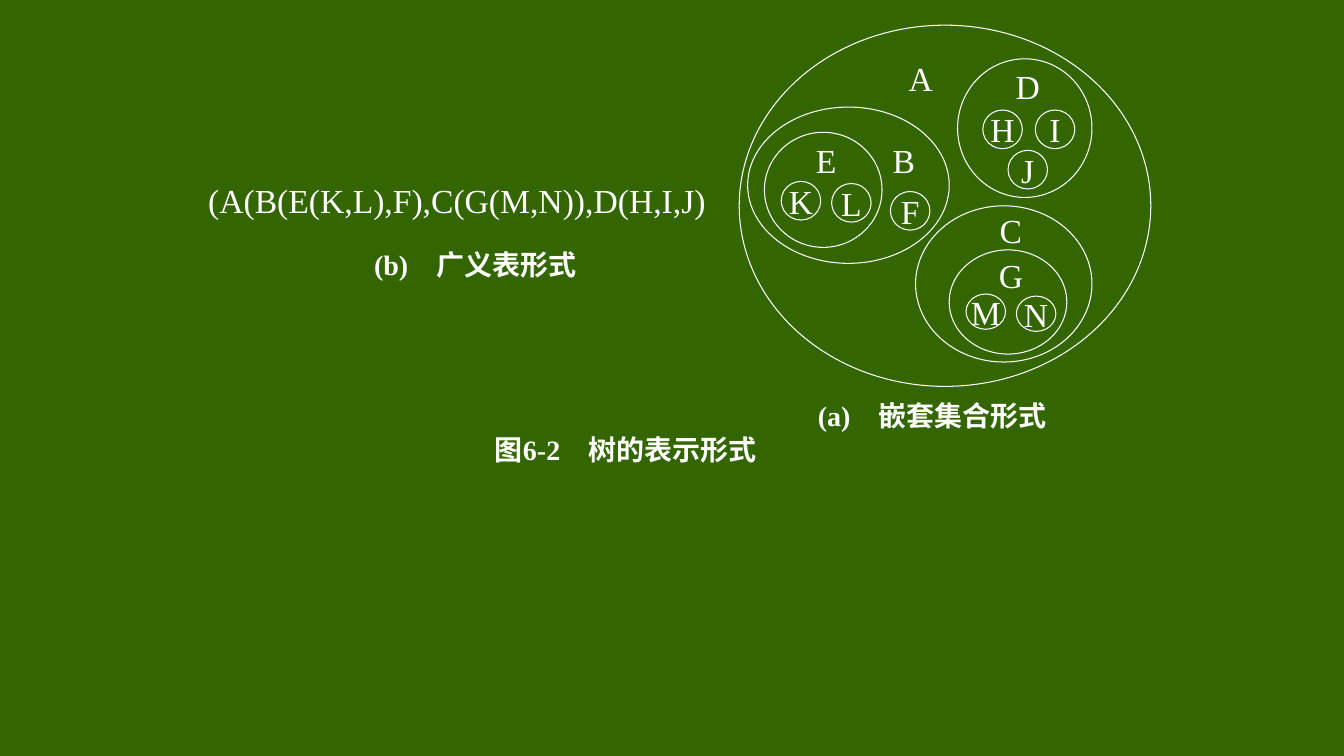
from pptx import Presentation
from pptx import util as u
from pptx.dml.color import RGBColor
from pptx.enum import shapes, text
from pptx.oxml.ns import qn
from lxml import etree

COLUMNS, ROWS = 160, 90
SERIF, SANS, CHINESE = "Times New Roman", "Arial", "Noto Sans CJK SC"


def colour(hex_string):
    return RGBColor.from_string(hex_string)


class Board:
    """Style and current slide; lengths are columns and rows of the grid."""
    green, chalk = "336600", "FFFFFF"
    caption_size, label_size = 20, 24
    circle_width = 4.7

    def __init__(self, deck):
        self.column = deck.slide_width / COLUMNS
        self.row = deck.slide_height / ROWS
        self.slide = deck.slides.add_slide(deck.slide_layouts[5])
        background = self.slide.background.fill
        background.solid()
        background.fore_color.rgb = colour(self.green)

    def area(self, left, top, width, height):
        return [u.Emu(round(n)) for n in (left * self.column, top * self.row,
                                          width * self.column, height * self.row)]

    def letter(self, shape, parts, size, bold=False, wrap=False,
               align=text.PP_ALIGN.CENTER):
        frame = shape.text_frame
        frame.word_wrap = wrap
        frame.auto_size = text.MSO_AUTO_SIZE.NONE
        frame.vertical_anchor = text.MSO_ANCHOR.MIDDLE
        paragraph = frame.paragraphs[0]
        paragraph.alignment = align
        for words, face in parts:
            run = paragraph.add_run()
            run.text = words
            font = run.font
            font.name, font.size, font.bold = face, u.Pt(size), bold
            font.color.rgb = colour(self.chalk)
            east_asian = etree.SubElement(run._r.rPr, qn("a:ea"))
            east_asian.set("typeface", CHINESE)

    def title(self, parts, *place):
        heading = self.slide.shapes.title
        heading.left, heading.top, heading.width, heading.height = self.area(*place)
        self.letter(heading, parts, self.caption_size, bold=True, wrap=True)

    def caption(self, parts, *place):
        box = self.slide.shapes.add_textbox(*self.area(*place))
        self.letter(box, parts, self.caption_size, bold=True, wrap=True)

    def formula(self, words, *place):
        box = self.slide.shapes.add_textbox(*self.area(*place))
        self.letter(box, [(words, SERIF)], self.label_size, align=text.PP_ALIGN.LEFT)

    def ellipse(self, left, top, width, height, outlined=True):
        oval = self.slide.shapes.add_shape(
            shapes.MSO_SHAPE.OVAL, *self.area(left, top, width, height))
        oval.shadow.inherit = False
        oval.fill.background()
        if outlined:
            oval.line.color.rgb = colour(self.chalk)
            oval.line.width = u.Pt(0.75)
        else:
            oval.line.fill.background()
        return oval

    def node(self, name, left, top, height, outlined):
        oval = self.ellipse(left, top, self.circle_width, height, outlined)
        self.letter(oval, [(name, SERIF)], self.label_size)


def main():
    deck = Presentation()
    deck.slide_width, deck.slide_height = u.Inches(13.33), u.Inches(7.5)
    board = Board(deck)

    # Nested sets: A, B, E, C, G, D
    for nested_set in [(88, 3, 49, 43), (89, 12.75, 24, 18.6),
                       (91, 15.75, 14, 13.7), (109, 24.5, 21, 18.6),
                       (113, 29.75, 14, 12.4), (114, 7, 16, 16.5)]:
        board.ellipse(*nested_set)

    # Leaves are circled; names of sets stand without an outline
    leaves = [("H", 117, 13.1, 4.6), ("I", 123.25, 13.1, 4.6),
              ("J", 120, 17.9, 4.6), ("F", 106, 22.8, 4.6),
              ("K", 93, 21.6, 4.6), ("L", 99, 21.85, 4.6),
              ("M", 115, 35, 4.2), ("N", 121, 35.25, 4.2)]
    set_names = [("A", 107.25, 7, 4.6), ("B", 105.25, 16.7, 4.6),
                 ("C", 118, 25.3, 4.2), ("D", 120, 7.9, 4.6),
                 ("E", 96, 16.7, 4.6), ("G", 118, 30.7, 4.2)]
    for nodes, outlined in ((leaves, True), (set_names, False)):
        for node in nodes:
            board.node(*node, outlined)

    # Generalized list
    board.formula("(A(B(E(K,L),F),C(G(M,N)),D(H,I,J)", 23.6, 21, 61.4, 5.6)

    # Captions
    board.caption([("(a)　", SERIF), ("嵌套集合", CHINESE), ("形式", SERIF)],
                  95, 47, 32, 5)
    board.caption([("(b)　", SERIF), ("广义表", CHINESE), ("形式", SERIF)],
                  41.6, 29, 30, 5)
    board.title([("图", SANS), ("6-2　", SERIF), ("树的表示", SANS), ("形式", SERIF)],
                56, 51, 37, 5)

    deck.save("out.pptx")


if __name__ == "__main__":
    main()
